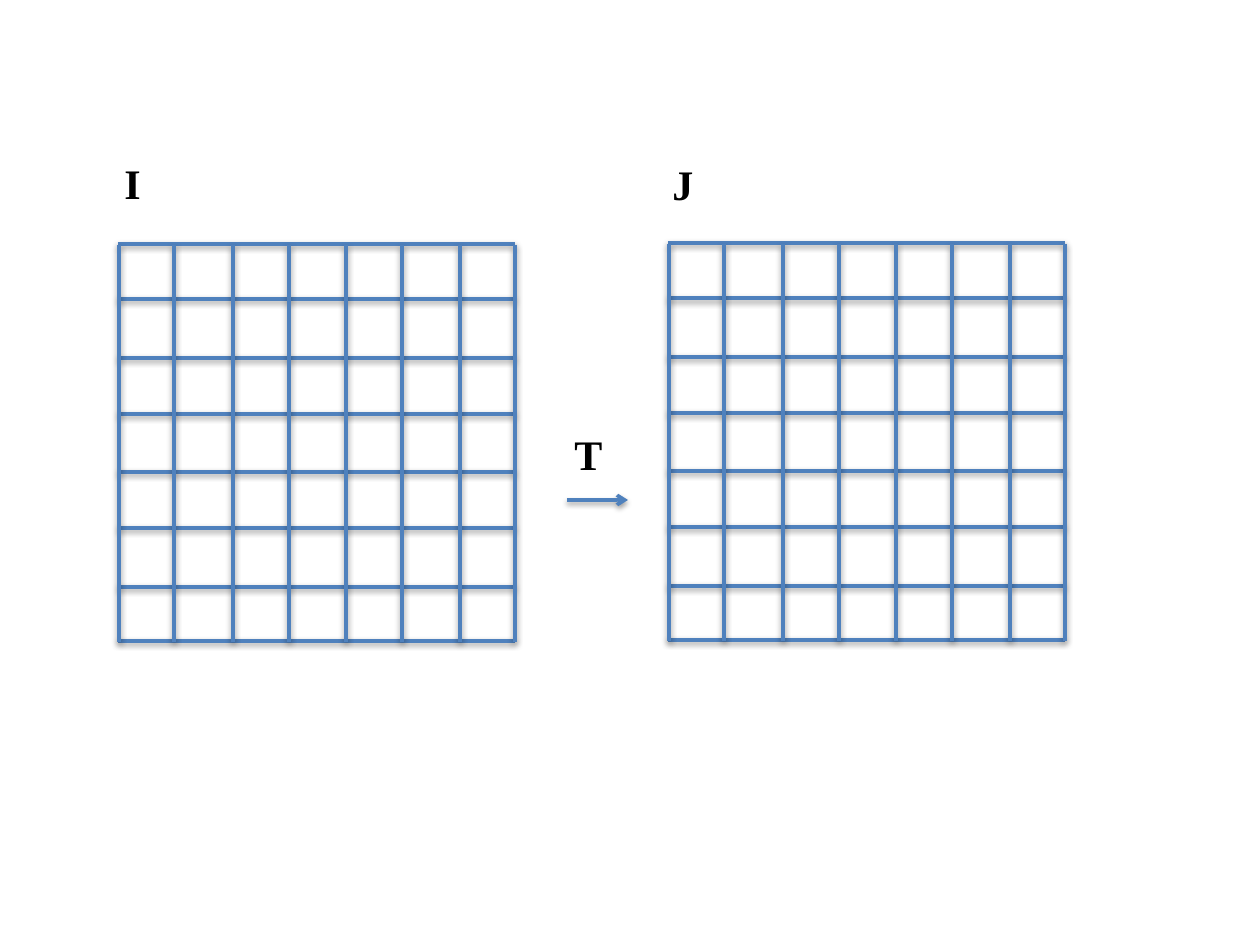
from lxml.etree import SubElement
from pptx import Presentation
from pptx.dml.color import RGBColor
from pptx.enum.shapes import MSO_CONNECTOR
from pptx.enum.text import MSO_AUTO_SIZE
from pptx.oxml.ns import qn
from pptx.util import Pt

PX = 914400 // 126
COLORS = {"line": "4F81BD", "text": "000000", "shadow": "000000"}
FONT = "Times New Roman"

GRID_ORIGINS = [(118, 244), (668, 243)]
GRID_SIDE = 397
ROW_OFFSETS = [0, 55, 114, 170, 228, 284, 343, 397]
COLUMN_OFFSETS = [0, 55, 114, 170, 227, 283, 341, 396]
LABELS = [
    ("I", 112, 151, 43, 63),
    ("J", 660, 152, 50, 63),
    ("T", 562, 422, 60, 63),
]
ARROW = (567, 500, 628, 500)


def add_line(shapes, x1, y1, x2, y2, arrow=False):
    line = shapes.add_connector(
        MSO_CONNECTOR.STRAIGHT, x1 * PX, y1 * PX, x2 * PX, y2 * PX
    )
    line.line.color.rgb = RGBColor.from_string(COLORS["line"])
    line.line.width = Pt(2)
    properties = line._element.spPr
    if arrow:
        SubElement(properties.find(qn("a:ln")), qn("a:tailEnd"), type="arrow")
    effects = SubElement(properties, qn("a:effectLst"))
    shadow = SubElement(
        effects, qn("a:outerShdw"),
        blurRad="40000", dist="20000", dir="5400000", rotWithShape="0",
    )
    color = SubElement(shadow, qn("a:srgbClr"), val=COLORS["shadow"])
    SubElement(color, qn("a:alpha"), val="38000")


def add_grid(page, left, top):
    shapes = page.shapes.add_group_shape().shapes
    for offset in ROW_OFFSETS:
        add_line(shapes, left, top + offset, left + GRID_SIDE, top + offset)
    for offset in COLUMN_OFFSETS:
        x = left + 1 + offset
        add_line(shapes, x, top + 1, x, top + 1 + GRID_SIDE)


def add_label(page, text, left, top, width, height):
    box = page.shapes.add_textbox(left * PX, top * PX, width * PX, height * PX)
    frame = box.text_frame
    frame.word_wrap = False
    frame.auto_size = MSO_AUTO_SIZE.SHAPE_TO_FIT_TEXT
    span = frame.paragraphs[0].add_run()
    span.text = text
    span.font.name = FONT
    span.font.size = Pt(24)
    span.font.bold = True
    span.font.color.rgb = RGBColor.from_string(COLORS["text"])


def main():
    deck = Presentation()
    deck.slide_width, deck.slide_height = 1260 * PX, 945 * PX
    page = deck.slides.add_slide(deck.slide_layouts[6])
    for origin in GRID_ORIGINS:
        add_grid(page, *origin)
    for label in LABELS:
        add_label(page, *label)
    add_line(page.shapes, *ARROW, arrow=True)
    deck.save("out.pptx")


if __name__ == "__main__":
    main()
